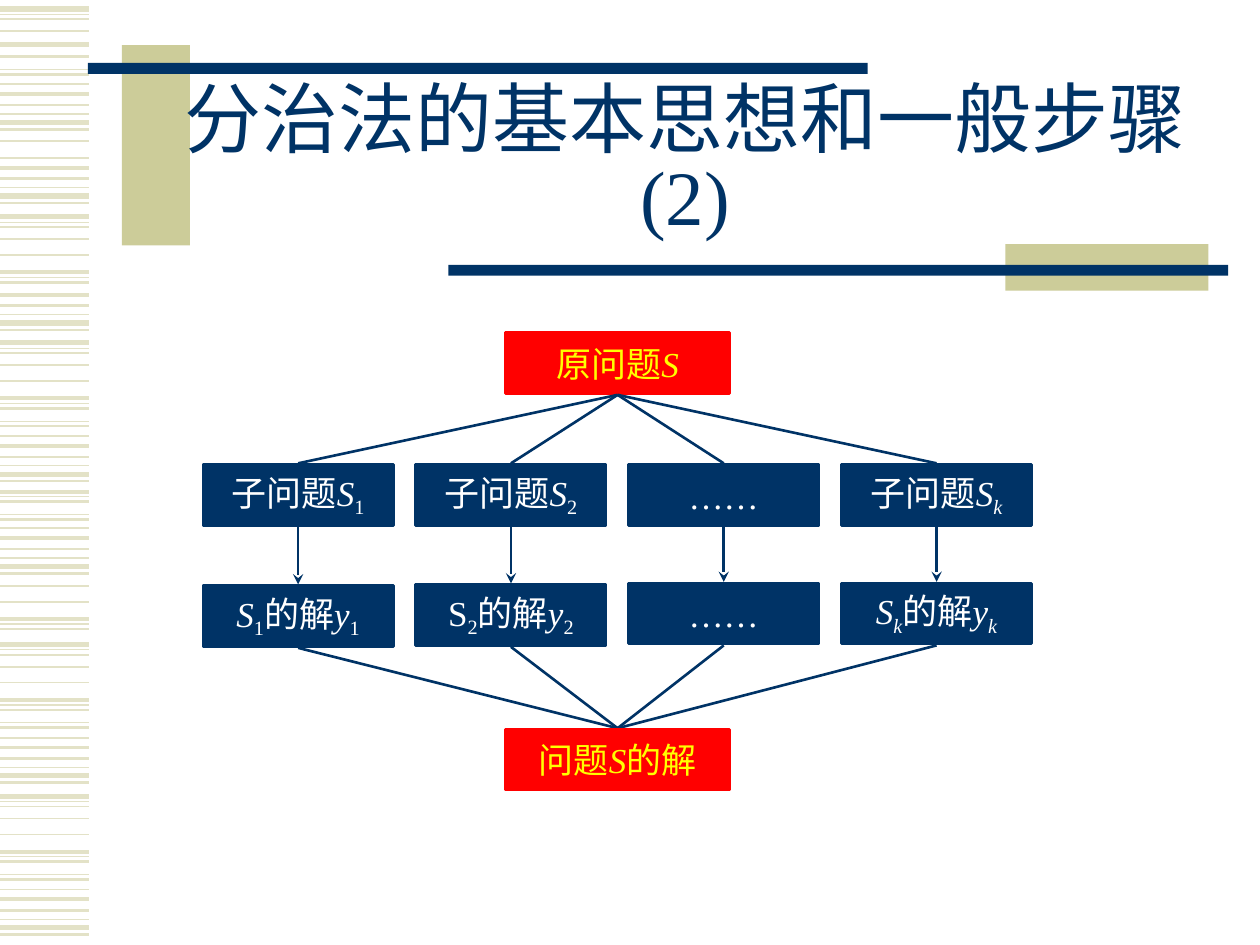
"""Build the slide on the basic idea and general steps of divide and conquer."""
from typing import NamedTuple, Optional

import lxml.etree
import pptx
import pptx.dml.color
import pptx.enum.shapes
import pptx.enum.text
import pptx.oxml.ns
import pptx.util

Cm, Pt = pptx.util.Cm, pptx.util.Pt
NAVY, KHAKI, PALE, RED, YELLOW, WHITE = "003366", "CCCC99", "E3E2C7", "FF0000", "FFFF00", "FFFFFF"
LATIN, CHINESE = "Times New Roman", "Noto Sans CJK SC"
CENTRE, FIRST_COLUMN, COLUMN_STEP = 12.45, 6.01, 4.29
BOX_HEIGHT, ROOT_WIDTH, CHILD_WIDTH, GAP = 1.22, 4.52, 3.84, 0.03
PROBLEM_TOP, SUBPROBLEM_TOP, ANSWER_TOP = 6.71, 9.37, 14.71


class Span(NamedTuple):
    text: str
    italic: bool = False
    subscript: bool = False


class Branch(NamedTuple):
    subproblem: list[Span]
    solution: list[Span]
    solution_top: float


class Stripe(NamedTuple):
    offset: float
    weight: float


class Band(NamedTuple):
    stripes: list[Stripe]
    top: float
    start: int = 0
    stop: Optional[int] = None


class Bar(NamedTuple):
    left: float
    top: float
    width: float
    height: float
    color: str


SHORT = [Stripe(0, 1), Stripe(0.2, 2.25), Stripe(0.42, 1.5),
         Stripe(0.6, 0.75), Stripe(0.77, 3), Stripe(0.91, 1.5)]
LONG = [Stripe(0, 3), Stripe(0.11, 0.75), Stripe(0.21, 1), Stripe(0.45, 1),
        Stripe(0.77, 1), Stripe(1.12, 2.25), Stripe(1.22, 0.75),
        Stripe(1.32, 1.5), Stripe(1.58, 0.75), Stripe(1.68, 1.5)]
BANDS = [
    Band(LONG, 0.18, 0, 4), Band(LONG, 0.89, 0, 1), Band(LONG, -0.18, 7),
    Band(SHORT, 1.7), Band(LONG, 2.07, 4, 5), Band(SHORT, 3.18),
    Band(LONG, 4.37, 0, 8), Band(SHORT, 5.74, 1), Band(LONG, 6.91),
    Band(SHORT, 8.79), Band(LONG, 8.79, 5), Band(SHORT, 10.65),
    Band(LONG, 11.36, 3, 8), Band(LONG, 12.99), Band(SHORT, 14.87),
    Band(LONG, 16.05), Band(SHORT, 17.93),
]
BARS = [
    Bar(2.46, 0.91, 1.37, 4.04, KHAKI), Bar(1.77, 1.27, 15.72, 0.22, NAVY),
    Bar(20.27, 4.92, 4.09, 0.94, KHAKI), Bar(9.04, 5.34, 15.72, 0.22, NAVY),
]


def make_branch(index: str, top: float, slanted: bool = False, upright_s: bool = False) -> Branch:
    """Return the subproblem and solution labels for one index."""
    sub = Span(index, slanted, True)
    return Branch([Span("子问题"), Span("S", True), sub],
                  [Span("S", not upright_s), sub, Span("的解"), Span("y", True), sub], top)


BRANCHES = [
    make_branch("1", 11.81),
    make_branch("2", 11.79, upright_s=True),
    Branch([Span("……")], [Span("……")], 11.76),
    make_branch("k", 11.76, slanted=True),
]


def rgb(color: str) -> pptx.dml.color.RGBColor:
    """Turn a hex string into a colour."""
    return pptx.dml.color.RGBColor.from_string(color)


def add_spans(para, spans: list[Span], size: float, color: str) -> None:
    """Add centred text to a paragraph, one run per span."""
    para.alignment = pptx.enum.text.PP_ALIGN.CENTER
    for span in spans:
        run = para.add_run()
        run.text = span.text
        run.font.size = Pt(size)
        run.font.italic = span.italic
        run.font.color.rgb = rgb(color)
        run.font.name = LATIN
        properties = run.font._element
        if any("\u4e00" <= letter <= "\u9fff" for letter in span.text):
            east = lxml.etree.SubElement(properties, pptx.oxml.ns.qn("a:ea"))
            east.set("typeface", CHINESE)
        if span.subscript:
            properties.set("baseline", "-25000")


def add_bar(slide, bar: Bar):
    """Draw a plain filled rectangle."""
    shape = slide.shapes.add_shape(pptx.enum.shapes.MSO_SHAPE.RECTANGLE, Cm(bar.left),
                                   Cm(bar.top), Cm(bar.width), Cm(bar.height))
    shape.shadow.inherit = False
    shape.fill.solid()
    shape.fill.fore_color.rgb = rgb(bar.color)
    shape.line.fill.background()
    return shape


def add_node(slide, centre: float, top: float, width: float, fill: str,
             color: str, spans: list[Span]) -> None:
    """Draw a labelled box centred on a column."""
    box = add_bar(slide, Bar(centre - width / 2, top, width, BOX_HEIGHT, fill))
    box.line.color.rgb = rgb(fill)
    box.line.width = Pt(1.5)
    box.text_frame.word_wrap = False
    box.text_frame.vertical_anchor = pptx.enum.text.MSO_ANCHOR.MIDDLE
    add_spans(box.text_frame.paragraphs[0], spans, 20, color)


def add_line(slide, x1: float, y1: float, x2: float, y2: float,
             color: str = NAVY, weight: float = 1.5, arrow: bool = False) -> None:
    """Draw a straight line, with an arrowhead at its end on request."""
    line = slide.shapes.add_connector(pptx.enum.shapes.MSO_CONNECTOR.STRAIGHT,
                                      Cm(x1), Cm(y1), Cm(x2), Cm(y2))
    line.line.color.rgb = rgb(color)
    line.line.width = Pt(weight)
    if arrow:
        tail = lxml.etree.SubElement(line.line._get_or_add_ln(), pptx.oxml.ns.qn("a:tailEnd"))
        tail.set("type", "stealth")
    lxml.etree.SubElement(line._element.spPr, pptx.oxml.ns.qn("a:effectLst"))


def add_title(slide, text: str) -> None:
    """Add the slide title."""
    box = slide.shapes.add_textbox(Cm(2.51), Cm(1.7), Cm(22.61), Cm(3.18))
    box.text_frame.word_wrap = True
    box.text_frame.vertical_anchor = pptx.enum.text.MSO_ANCHOR.MIDDLE
    para = box.text_frame.paragraphs[0]
    para.line_spacing = 0.85
    add_spans(para, [Span(text)], 44, NAVY)


def add_branch(slide, centre: float, branch: Branch) -> None:
    """Draw one column with its links to the problem and to the answer."""
    solution_top = branch.solution_top
    add_node(slide, centre, SUBPROBLEM_TOP, CHILD_WIDTH, NAVY, WHITE, branch.subproblem)
    add_node(slide, centre, solution_top, CHILD_WIDTH, NAVY, WHITE, branch.solution)
    add_line(slide, CENTRE, PROBLEM_TOP + BOX_HEIGHT + GAP, centre, SUBPROBLEM_TOP - GAP)
    add_line(slide, centre, SUBPROBLEM_TOP + BOX_HEIGHT + GAP, centre, solution_top - GAP, arrow=True)
    add_line(slide, centre, solution_top + BOX_HEIGHT + GAP, CENTRE, ANSWER_TOP - GAP)


def build() -> None:
    """Assemble and save the deck."""
    deck = pptx.Presentation()
    deck.slide_width, deck.slide_height = Cm(25.4), Cm(19.05)
    slide = deck.slides.add_slide(deck.slide_layouts[6])
    for band in BANDS:
        for stripe in band.stripes[band.start:band.stop]:
            y = band.top + stripe.offset
            add_line(slide, 0, y, 1.8, y, PALE, stripe.weight)
    for bar in BARS:
        add_bar(slide, bar)
    add_title(slide, "分治法的基本思想和一般步骤 (2)")
    add_node(slide, CENTRE, PROBLEM_TOP, ROOT_WIDTH, RED, YELLOW, [Span("原问题"), Span("S", True)])
    for column, branch in enumerate(BRANCHES):
        add_branch(slide, FIRST_COLUMN + column * COLUMN_STEP, branch)
    add_node(slide, CENTRE, ANSWER_TOP, ROOT_WIDTH, RED, YELLOW,
             [Span("问题"), Span("S", True), Span("的解")])
    deck.save("out.pptx")


build()
